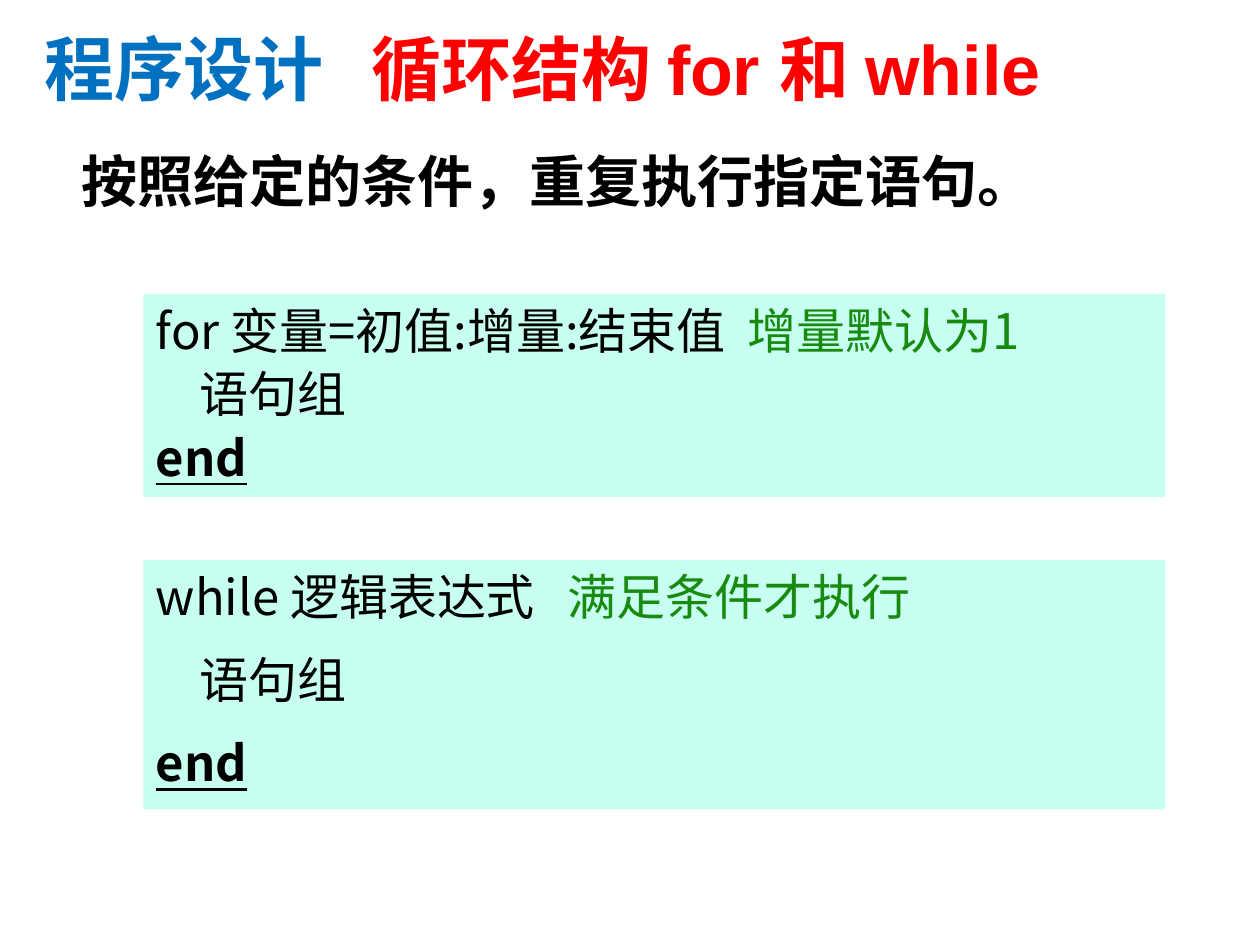
from pptx import Presentation
from pptx.dml.color import RGBColor
from pptx.enum.shapes import MSO_SHAPE
from pptx.enum.text import MSO_ANCHOR, MSO_AUTO_SIZE, PP_ALIGN
from pptx.util import Pt

CJK = "Noto Sans CJK SC"


def rgb(color):
    return RGBColor.from_string(color)


def add_runs(p, runs, font, size, bold=False):
    p.alignment = PP_ALIGN.LEFT
    p.font.name, p.font.size, p.font.bold = font, Pt(size), bold
    for text, color in runs:
        r = p.add_run()
        r.text = text
        r.font.color.rgb = rgb(color)


prs = Presentation()
prs.slide_width, prs.slide_height = Pt(720), Pt(540)
s = prs.slides.add_slide(prs.slide_layouts[5])

# Title
title = s.shapes.title
title.left, title.top, title.width, title.height = Pt(18), Pt(0), Pt(618), Pt(66)
tf = title.text_frame
tf.vertical_anchor = MSO_ANCHOR.BOTTOM
tf.auto_size = MSO_AUTO_SIZE.NONE
add_runs(tf.paragraphs[0],
         [("程序设计   ", "0070C0"), ("循环结构 for 和 while", "FF0000")],
         "Arial", 40, bold=True)

# Summary sentence
tf = s.shapes.add_textbox(Pt(39.6), Pt(80), Pt(559), Pt(46)).text_frame
tf.word_wrap = True
add_runs(tf.paragraphs[0], [("按照给定的条件，重复执行指定语句。", "000000")],
         CJK, 32, bold=True)

# Loop syntax boxes: top, height, space before, header, remark
loops = [
    (168, 116, 2.8, "for 变量=初值:增量:结束值  ", "增量默认为1"),
    (320, 142.5, 14, "while 逻辑表达式   ", "满足条件才执行"),
]
for top, height, space, header, remark in loops:
    sp = s.shapes.add_shape(MSO_SHAPE.RECTANGLE, Pt(82), Pt(top), Pt(584), Pt(height))
    sp.shadow.inherit = False
    sp.fill.solid()
    sp.fill.fore_color.rgb = rgb("C7FFF0")
    sp.line.fill.background()
    tf = sp.text_frame
    tf.word_wrap = True
    tf.vertical_anchor = MSO_ANCHOR.TOP
    lines = [[(header, "000000"), (remark, "198A10")],
             [("    语句组", "000000")],
             [("end", "000000")]]
    for i, runs in enumerate(lines):
        p = tf.add_paragraph() if i else tf.paragraphs[0]
        add_runs(p, runs, CJK, 28, bold=i == 2)
        p.space_before = Pt(space)
    p.font.underline = True

prs.save("out.pptx")
